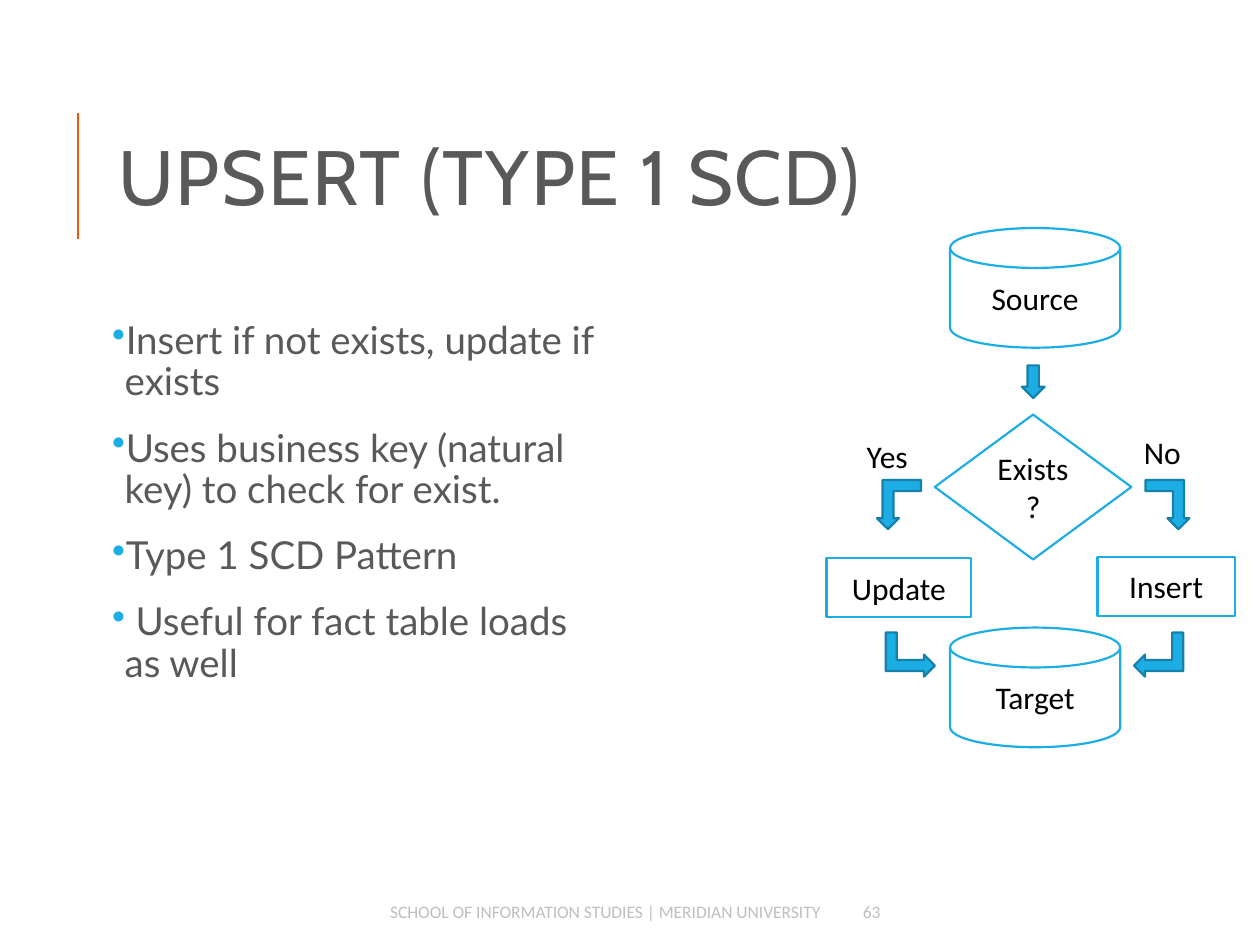
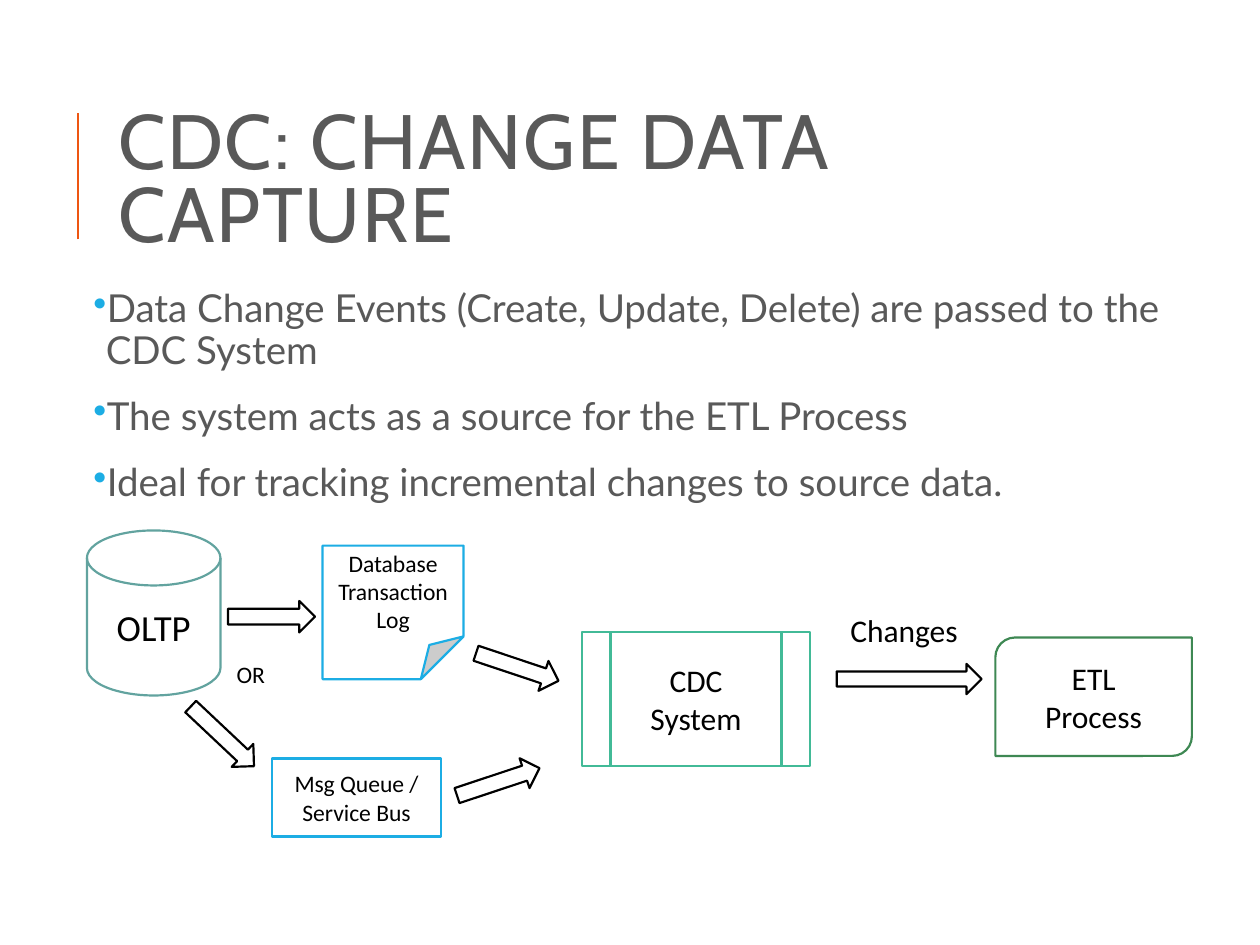
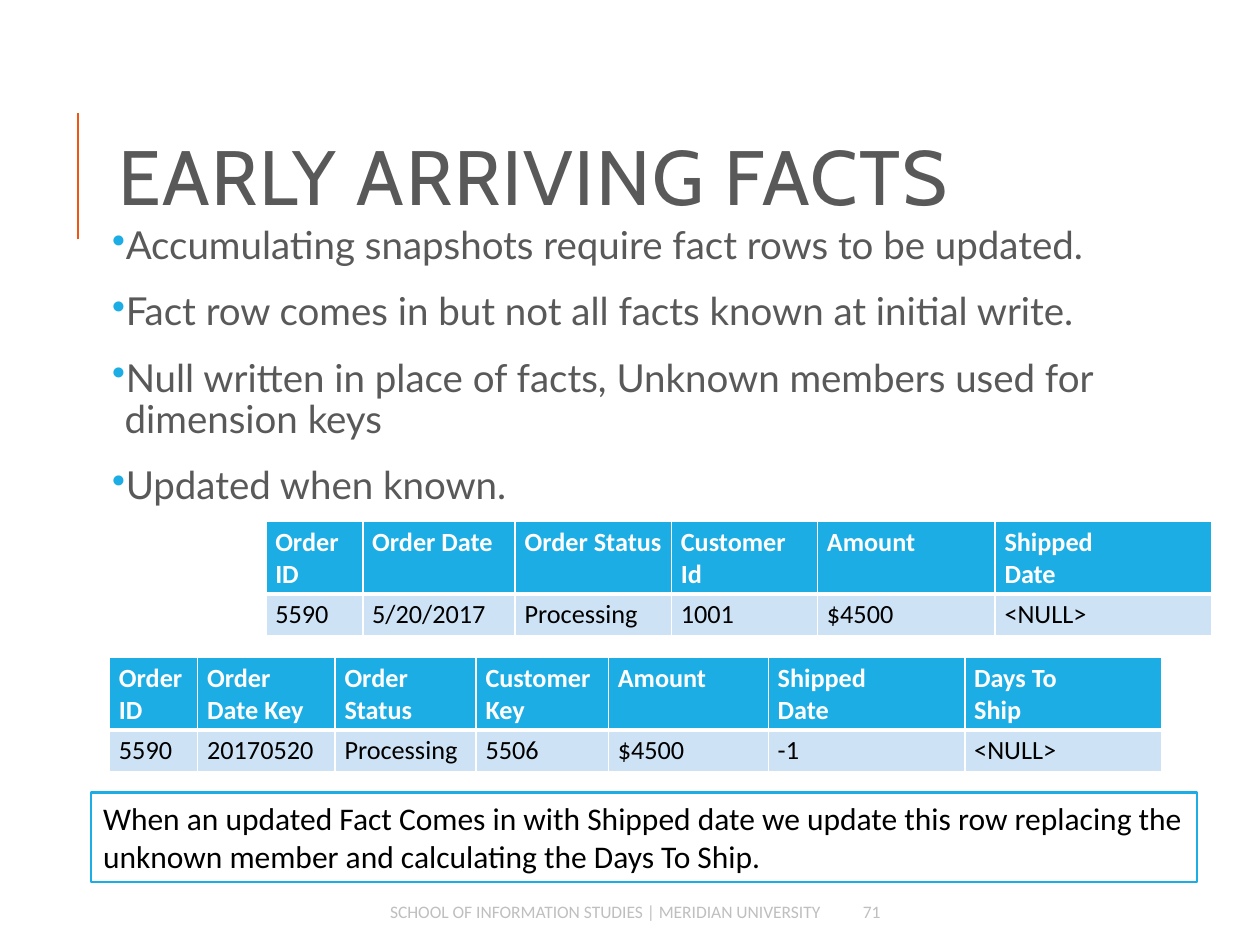
from lxml import etree
from pptx import Presentation
from pptx.dml.color import RGBColor
from pptx.enum.shapes import MSO_CONNECTOR, MSO_SHAPE
from pptx.enum.text import MSO_ANCHOR, PP_ALIGN
from pptx.oxml.ns import qn
from pptx.util import Pt

CENTER, RIGHT = PP_ALIGN.CENTER, PP_ALIGN.RIGHT
MIDDLE = MSO_ANCHOR.MIDDLE
DISK = MSO_SHAPE.FLOWCHART_MAGNETIC_DISK
DECISION = MSO_SHAPE.FLOWCHART_DECISION
PREDEFINED = MSO_SHAPE.FLOWCHART_PREDEFINED_PROCESS
PROCESS = MSO_SHAPE.FLOWCHART_PROCESS
RECTANGLE = MSO_SHAPE.RECTANGLE
FOLDED = MSO_SHAPE.FOLDED_CORNER
ROUND_DIAGONAL = MSO_SHAPE.ROUND_2_DIAG_RECTANGLE
DOWN_ARROW = MSO_SHAPE.DOWN_ARROW
RIGHT_ARROW = MSO_SHAPE.RIGHT_ARROW
BENT_ARROW = MSO_SHAPE.BENT_UP_ARROW

COLORS = {
    "white": "FFFFFF", "black": "000000", "gray": "595959", "footer": "BFBFBF",
    "blue": "1CADE4", "dark blue": "1580A9", "pale blue": "CDE3F5",
    "orange": "EE5612", "teal": "62A39F", "mint": "42BA97", "green": "3E8853",
}
RGB = {name: RGBColor.from_string(value) for name, value in COLORS.items()}

INSETS = dict.fromkeys(("margin_left", "margin_top", "margin_right", "margin_bottom"), Pt(3.6))
STYLES = {
    "title": {
        "color": "gray", "font": {"name": "Cabin", "size": Pt(44)},
        "paragraph": {"line_spacing": 0.8},
        "frame": {"word_wrap": True, "vertical_anchor": MIDDLE},
    },
    "body": {
        "color": "gray", "font": {"name": "Lato", "size": Pt(22)},
        "paragraph": {"line_spacing": 0.9, "space_before": Pt(12), "space_after": Pt(2)},
        "frame": {"word_wrap": True, **INSETS},
    },
    "footer": {
        "color": "footer", "font": {"name": "Calibri", "size": Pt(10)},
        "paragraph": {"alignment": RIGHT},
        "frame": {"word_wrap": True, "vertical_anchor": MIDDLE},
    },
    "block": {
        "color": "black", "font": {"name": "Calibri", "size": Pt(18)},
        "paragraph": {"alignment": CENTER},
        "frame": {"word_wrap": True, "vertical_anchor": MIDDLE},
    },
    "label": {
        "color": "black", "font": {"name": "Calibri", "size": Pt(18)},
        "paragraph": {"alignment": PP_ALIGN.LEFT},
        "frame": {"word_wrap": False, "vertical_anchor": MSO_ANCHOR.TOP},
    },
    "header cell": {
        "color": "white", "font": {"name": "Calibri", "size": Pt(15), "bold": True},
        "paragraph": {}, "frame": {"word_wrap": True},
    },
}
STYLES["page number"] = {**STYLES["footer"], "paragraph": {}}
STYLES["data cell"] = {
    **STYLES["header cell"], "color": "black",
    "font": {"name": "Calibri", "size": Pt(15), "bold": False},
}
for name, base, size in (("large block", "block", 21), ("small block", "block", 13.5),
                         ("small label", "label", 13.5)):
    STYLES[name] = {**STYLES[base], "font": {"name": "Calibri", "size": Pt(size)}}


def write_text(frame, lines, style_name):
    style = STYLES[style_name]
    for attribute, value in style["frame"].items():
        setattr(frame, attribute, value)
    for index, line in enumerate(lines):
        paragraph = frame.add_paragraph() if index else frame.paragraphs[0]
        paragraph.text = line
        for attribute, value in style["paragraph"].items():
            setattr(paragraph, attribute, value)
        for run in paragraph.runs:
            for attribute, value in style["font"].items():
                setattr(run.font, attribute, value)
            run.font.color.rgb = RGB[style["color"]]
            if style_name == "title":
                run.font._element.set("spc", "100")
        if style_name == "body":
            properties = paragraph._p.get_or_add_pPr()
            properties.set("marL", str(Pt(7.2)))
            properties.set("indent", str(-Pt(7.2)))
            bullet_color = etree.SubElement(properties, qn("a:buClr"))
            etree.SubElement(bullet_color, qn("a:srgbClr")).set("val", COLORS["blue"])
            etree.SubElement(properties, qn("a:buChar")).set("char", "•")


def add_block(slide, kind, place, fill, line, lines=(), style_name="block"):
    shape = slide.shapes.add_shape(kind, *map(Pt, place))
    shape.shadow.inherit = False
    shape.fill.solid()
    shape.fill.fore_color.rgb = RGB[fill]
    shape.line.color.rgb = RGB[line]
    shape.line.width = Pt(1.25)
    write_text(shape.text_frame, lines, style_name)
    return shape


presentation = Presentation()
presentation.slide_width, presentation.slide_height = Pt(720), Pt(540)

PAGES = [
    ("UPSERT (TYPE 1 SCD)", "63", (60.5, 180, 293, 316.8), [
        "Insert if not exists, update if exists",
        "Uses business key (natural key) to check for exist.",
        "Type 1 SCD Pattern",
        " Useful for fact table loads as well",
    ]),
    ("CDC: CHANGE DATA CAPTURE", None, (49.7, 162, 620.6, 181.4), [
        "Data Change Events (Create, Update, Delete) are passed to the CDC System",
        "The system acts as a source for the ETL Process",
        "Ideal for tracking incremental changes to source data.",
    ]),
    ("EARLY ARRIVING FACTS", "71", (60.5, 126, 573.8, 206.6), [
        "Accumulating snapshots require fact rows to be updated.",
        "Fact row comes in but not all facts known at initial write.",
        "Null written in place of facts, Unknown members used for dimension keys",
        "Updated when known.",
    ]),
]
for title, page_number, body_place, bullets in PAGES:
    slide = presentation.slides.add_slide(presentation.slide_layouts[6])
    rule = slide.shapes.add_connector(
        MSO_CONNECTOR.STRAIGHT, Pt(44.6), Pt(136.8), Pt(44.6), Pt(64.8))
    rule.line.color.rgb = RGB["orange"]
    rule.line.width = Pt(1.5)
    etree.SubElement(rule._element.spPr, qn("a:effectLst"))
    texts = [((60.5, 46, 573.8, 118), [title], "title"), (body_place, bullets, "body")]
    if page_number:
        texts += [
            ((136, 509.8, 339.8, 21.6),
             ["SCHOOL OF INFORMATION STUDIES | MERIDIAN UNIVERSITY"], "footer"),
            ((486, 509.8, 65.5, 21.6), [page_number], "page number"),
        ]
    for place, lines, style_name in texts:
        text_box = slide.shapes.add_textbox(*map(Pt, place))
        write_text(text_box.text_frame, lines, style_name)

upsert, capture, facts = presentation.slides

for kind, place, text in [
    (DISK, (542.9, 130.3, 97.2, 68.4), "Source"),
    (DISK, (542.9, 358.6, 97.2, 68.4), "Target"),
    (RECTANGLE, (472.3, 319, 82.8, 33.8), "Update"),
    (RECTANGLE, (627.1, 318.2, 78.5, 33.8), "Insert"),
    (DECISION, (534.2, 236.9, 112.3, 82.8), "Exists?"),
]:
    add_block(upsert, kind, place, "white", "blue", [text])

add_block(upsert, DOWN_ARROW, (583.9, 208.8, 13, 18.7), "blue", "dark blue")
for left, top, rotation, flipped in [
    (501.1, 274.3, 180, False), (654.5, 274.3, 180, True),
    (507.6, 360, 90, False), (649.4, 360, 270, True),
]:
    arrow = add_block(upsert, BENT_ARROW, (left, top, 25.2, 28.1), "blue", "dark blue")
    arrow.rotation = rotation
    if flipped:
        arrow._element.spPr.find(qn("a:xfrm")).set("flipH", "1")

for kind, place, line, lines, style_name in [
    (DISK, (49.7, 303.1, 76.3, 94.3), "teal", ["OLTP"], "large block"),
    (FOLDED, (184.3, 311.8, 80.6, 76.3), "blue", ["Database\nTransaction Log"], "small block"),
    (PREDEFINED, (332.6, 361.4, 130.3, 76.3), "mint", ["CDC", "System"], "block"),
    (ROUND_DIAGONAL, (568.8, 364.3, 112.3, 67.7), "green", ["ETL\nProcess"], "block"),
    (PROCESS, (155.5, 433.4, 96.5, 44.6), "blue", ["Msg Queue /\nService Bus"], "small block"),
]:
    block = add_block(capture, kind, place, "white", line, lines, style_name)
    if kind == FOLDED:
        geometry = block._element.spPr.find(qn("a:prstGeom"))
        fold = etree.SubElement(geometry.get_or_add_avLst(), qn("a:gd"))
        fold.set("name", "adj")
        fold.set("fmla", "val 32000")

for left, top, width, height, rotation in [
    (130.3, 343.4, 49.7, 18, 0), (259.9, 437.8, 49.7, 18, 341.6),
    (270.7, 372.2, 49.7, 18, 18.5), (478.1, 379.4, 82.8, 17.3, 0),
    (102.2, 411.8, 49.7, 18, 43.3),
]:
    arrow = add_block(capture, RIGHT_ARROW, (left, top, width, height), "white", "black")
    arrow.rotation = rotation

for slide, place, text, style_name in [
    (upsert, (488.2, 246.2, 38.2, 28.8), "Yes", "label"),
    (upsert, (646.6, 244.1, 36, 28.8), "No", "label"),
    (capture, (128.2, 373.7, 31.7, 23.8), "OR", "small label"),
    (capture, (478.8, 345.6, 76.3, 28.8), "Changes", "label"),
]:
    label = slide.shapes.add_textbox(*map(Pt, place))
    write_text(label.text_frame, [text], style_name)

ROW_HEIGHTS = (41, 23.8)
CELL_MARGINS = {"margin_left": Pt(5.4), "margin_right": Pt(5.4),
                "margin_top": Pt(2.7), "margin_bottom": Pt(2.7)}
ROW_LOOKS = [
    ("header cell", "blue", {"a:lnL": 1, "a:lnR": 1, "a:lnT": 1, "a:lnB": 3}),
    ("data cell", "pale blue", {"a:lnL": 1, "a:lnR": 1, "a:lnB": 1}),
]
for left, top, widths, rows in [
    (151.9, 298.1, (55.4, 87.1, 89.3, 83.5, 101.5, 123.8), [
        ["Order ID", "Order Date", "Order Status", "Customer\nId", "Amount", "Shipped\nDate"],
        ["5590", "5/20/2017", "Processing", "1001", "$4500", "<NULL>"],
    ]),
    (62.6, 375.8, (50.4, 78.5, 80.6, 75.6, 91.4, 112.3, 112.3), [
        ["Order ID", "Order\nDate Key", "Order\nStatus", "Customer\nKey", "Amount",
         "Shipped\nDate", "Days To\nShip"],
        ["5590", "20170520", "Processing", "5506", "$4500", "-1", "<NULL>"],
    ]),
]:
    table = facts.shapes.add_table(
        len(rows), len(widths), Pt(left), Pt(top), Pt(sum(widths)), Pt(sum(ROW_HEIGHTS))).table
    for column, width in zip(table.columns, widths):
        column.width = Pt(width)
    for row, height, texts, look in zip(table.rows, ROW_HEIGHTS, rows, ROW_LOOKS):
        row.height = Pt(height)
        style_name, fill, borders = look
        for cell, text in zip(row.cells, texts):
            write_text(cell.text_frame, [text], style_name)
            for attribute, value in CELL_MARGINS.items():
                setattr(cell, attribute, value)
            properties = cell._tc.get_or_add_tcPr()
            for tag, border_width in borders.items():
                border = etree.SubElement(properties, qn(tag), w=str(Pt(border_width)))
                border_fill = etree.SubElement(border, qn("a:solidFill"))
                etree.SubElement(border_fill, qn("a:srgbClr"), val=COLORS["white"])
            cell.fill.solid()
            cell.fill.fore_color.rgb = RGB[fill]

add_block(facts, RECTANGLE, (51.8, 452.9, 632.2, 51.1), "white", "blue", [
    "When an updated Fact Comes in with Shipped date we update this row replacing the",
    "unknown member and calculating the Days To Ship.",
], "label")

presentation.save("out.pptx")
